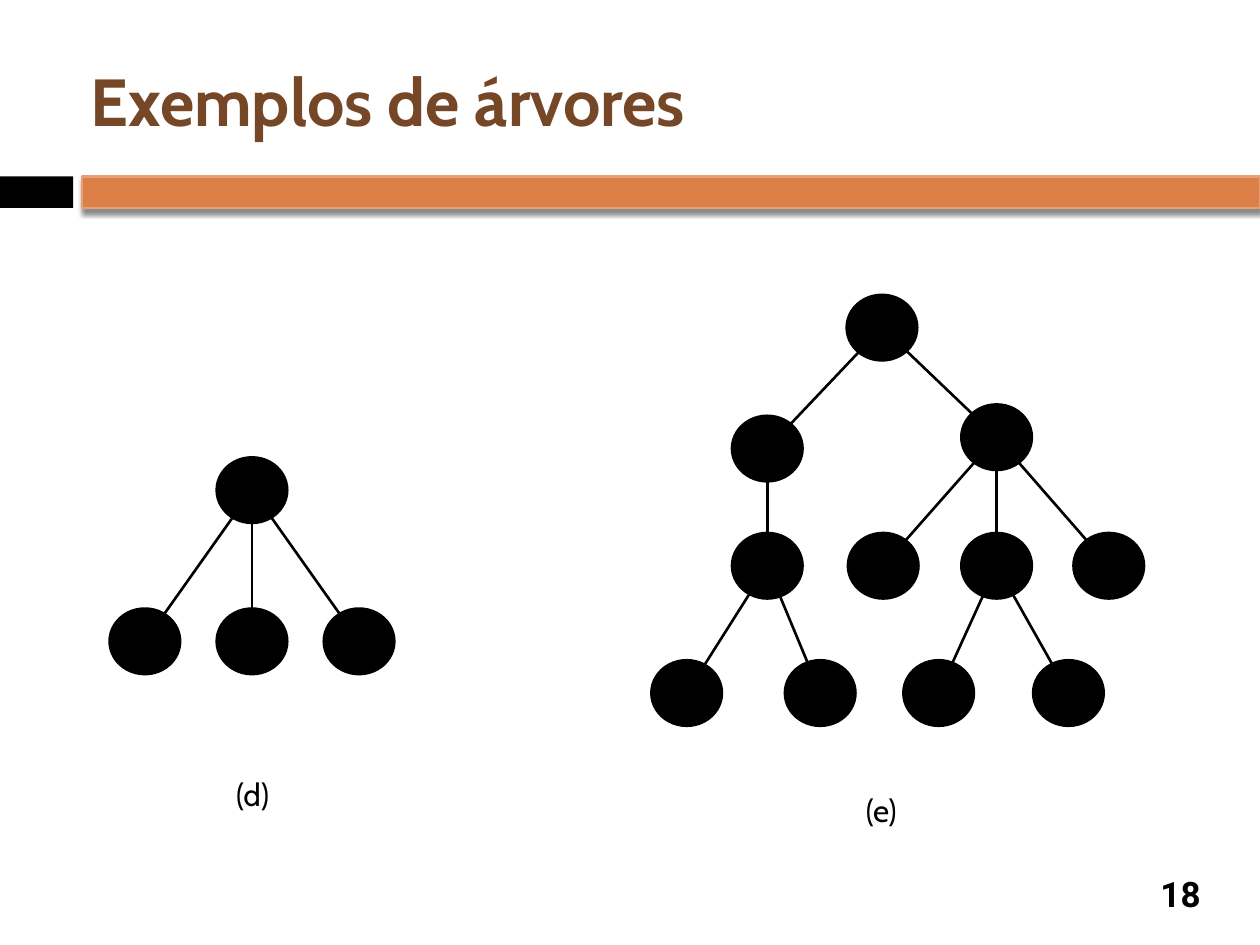
"""Builds the slide "Exemplos de árvores" with two example trees."""
from dataclasses import dataclass

from lxml import etree
from pptx import Presentation
from pptx import util as u
from pptx.dml.color import RGBColor
from pptx.enum import shapes, text
from pptx.oxml.ns import qn

BLACK = "000000"
NODE_WIDTH, NODE_HEIGHT = 0.56, 0.52


@dataclass
class Node:
    left: float
    top: float
    children: tuple["Node", ...] = ()

    @property
    def center(self) -> tuple[float, float]:
        return self.left + NODE_WIDTH / 2, self.top + NODE_HEIGHT / 2


@dataclass
class Label:
    wording: str
    left: float
    top: float
    width: float
    height: float
    size: int = 18
    font: str = "Cabin"
    bold: bool = False
    wrap: bool = False
    anchor: text.MSO_ANCHOR = text.MSO_ANCHOR.TOP


TREE_D = Node(1.72, 3.63, tuple(Node(left, 4.83) for left in (0.87, 1.72, 2.57)))
TREE_E = Node(6.72, 2.34, (
    Node(5.81, 3.3, (
        Node(5.81, 4.23, (Node(5.17, 5.24), Node(6.23, 5.24))),
    )),
    Node(7.63, 3.21, (
        Node(6.73, 4.23),
        Node(7.63, 4.23, (Node(7.17, 5.24), Node(8.2, 5.24))),
        Node(8.52, 4.23),
    )),
))
LABELS = (
    Label("18", 9.08, 6.89, 0.58, 0.41, 20, "Roboto", True, True, text.MSO_ANCHOR.MIDDLE),
    Label("(d)", 1.81, 6.1, 0.39, 0.63),
    Label("(e)", 6.81, 6.23, 0.37, 0.36),
)


def color(value: str) -> RGBColor:
    return RGBColor.from_string(value)


def add_filled(slide, kind, left: float, top: float, width: float, height: float,
               fill: str, line: str | None = None):
    shape = slide.shapes.add_shape(kind, *map(u.Inches, (left, top, width, height)))
    shape.shadow.inherit = False
    shape.fill.solid()
    shape.fill.fore_color.rgb = color(fill)
    if line:
        shape.line.color.rgb = color(line)
        shape.line.width = u.Pt(1.5)
    else:
        shape.line.fill.background()
    return shape


def add_header(slide) -> None:
    rectangle = shapes.MSO_SHAPE.RECTANGLE
    add_filled(slide, rectangle, 0, 1.4, 0.58, 0.25, BLACK)
    band = add_filled(slide, rectangle, 0.65, 1.4, 9.35, 0.25, "DD8047", "E5A075")
    effects = band._element.spPr.find(qn("a:effectLst"))
    shadow = etree.SubElement(effects, qn("a:outerShdw"), blurRad=str(u.Pt(3)),
                              dist=str(u.Pt(2.4)), dir="5400000", rotWithShape="0")
    tint = etree.SubElement(shadow, qn("a:srgbClr"), val=BLACK)
    etree.SubElement(tint, qn("a:alpha"), val="45000")


def write(shape, wording: str, size: int, font: str, shade: str, bold: bool,
          align: text.PP_ALIGN, anchor: text.MSO_ANCHOR, wrap: bool) -> None:
    frame = shape.text_frame
    frame.text = wording
    frame.word_wrap = wrap
    frame.auto_size = text.MSO_AUTO_SIZE.NONE if wrap else text.MSO_AUTO_SIZE.SHAPE_TO_FIT_TEXT
    frame.vertical_anchor = anchor
    frame.margin_left = frame.margin_right = u.Inches(0.05)
    frame.margin_top = frame.margin_bottom = u.Inches(0.05)
    paragraph = frame.paragraphs[0]
    paragraph.alignment = align
    run_font = paragraph.runs[0].font
    run_font.name, run_font.size, run_font.bold = font, u.Pt(size), bold
    run_font.color.rgb = color(shade)


def add_title(slide, wording: str) -> None:
    title = slide.shapes.title
    title.left, title.top = u.Inches(0.67), u.Inches(0.25)
    title.width, title.height = u.Inches(8.92), u.Inches(1.08)
    write(title, wording, 38, "Cabin", "754726", True,
          text.PP_ALIGN.LEFT, text.MSO_ANCHOR.MIDDLE, True)


def add_label(slide, label: Label) -> None:
    box = slide.shapes.add_textbox(
        *map(u.Inches, (label.left, label.top, label.width, label.height)))
    write(box, label.wording, label.size, label.font, BLACK, label.bold,
          text.PP_ALIGN.CENTER, label.anchor, label.wrap)


def add_nodes(slide, node: Node) -> None:
    add_filled(slide, shapes.MSO_SHAPE.OVAL, node.left, node.top,
               NODE_WIDTH, NODE_HEIGHT, BLACK, BLACK)
    for child in node.children:
        add_nodes(slide, child)


def add_edges(slide, node: Node) -> None:
    for child in node.children:
        edge = slide.shapes.add_connector(
            shapes.MSO_CONNECTOR.STRAIGHT, *map(u.Inches, child.center + node.center))
        edge.line.color.rgb = color(BLACK)
        edge.line.width = u.Pt(1.5)
        etree.SubElement(edge._element.spPr, qn("a:effectLst"))
        add_edges(slide, child)


def main() -> None:
    deck = Presentation()
    deck.slide_width, deck.slide_height = u.Inches(10), u.Inches(7.5)
    slide = deck.slides.add_slide(deck.slide_layouts[5])
    add_header(slide)
    add_title(slide, "Exemplos de árvores")
    for label in LABELS:
        add_label(slide, label)
    for tree in (TREE_E, TREE_D):
        add_nodes(slide, tree)
        add_edges(slide, tree)
    deck.save("out.pptx")


if __name__ == "__main__":
    main()
